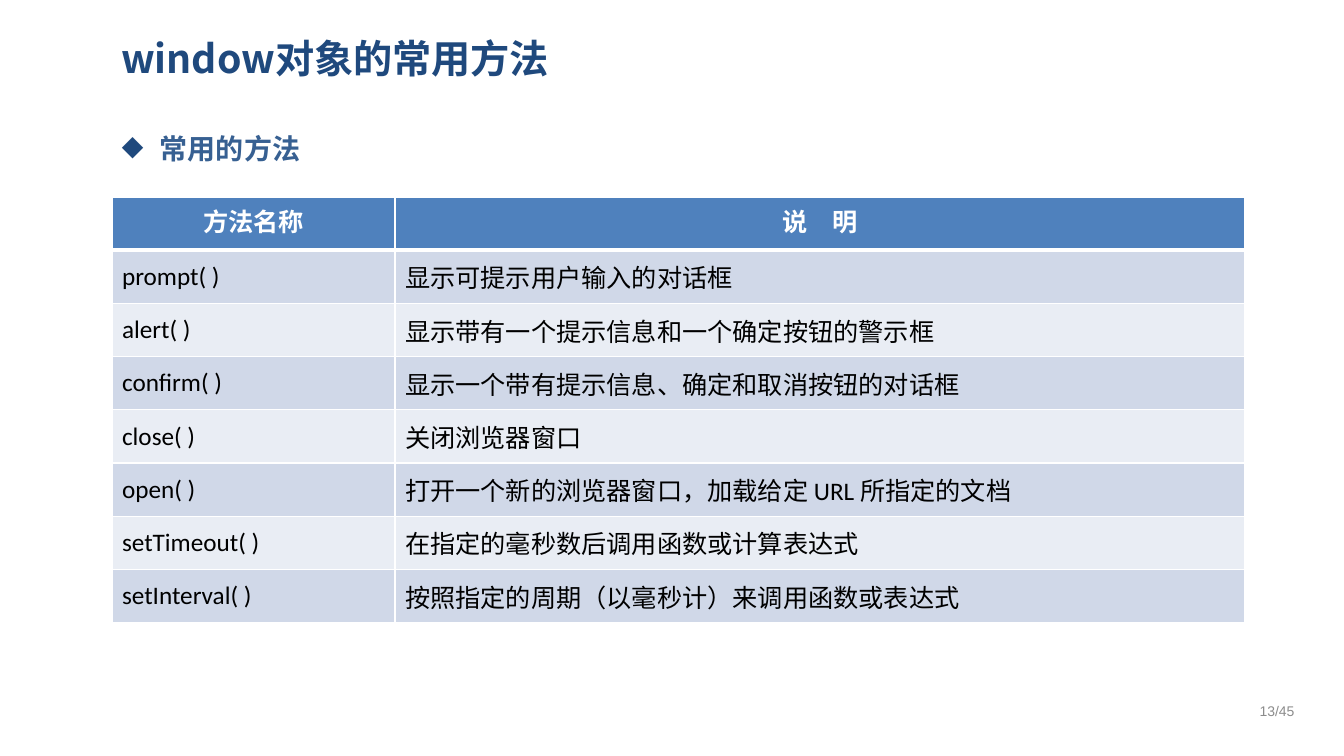
from lxml import etree
from pptx import Presentation
from pptx.dml.color import RGBColor
from pptx.enum.text import MSO_ANCHOR, MSO_AUTO_SIZE, PP_ALIGN
from pptx.oxml import parse_xml
from pptx.oxml.ns import qn
from pptx.util import Pt

PX = 914400 / 100.8
LEFT, CENTER = PP_ALIGN.LEFT, PP_ALIGN.CENTER
TOP, MIDDLE = MSO_ANCHOR.TOP, MSO_ANCHOR.MIDDLE
NO_FIT = MSO_AUTO_SIZE.NONE
NAVY = RGBColor(0x1F, 0x49, 0x7D)
STEEL = RGBColor(0x37, 0x60, 0x92)
GRAY = RGBColor(0x8C, 0x8C, 0x8C)
WHITE = RGBColor(0xFF, 0xFF, 0xFF)
BLACK = RGBColor(0, 0, 0)
HEADER = RGBColor(0x4F, 0x81, 0xBD)
BANDS = [RGBColor(0xE9, 0xED, 0xF4), RGBColor(0xD0, 0xD8, 0xE8)]
CJK = "Noto Sans CJK SC"
A = "http://schemas.openxmlformats.org/drawingml/2006/main"


def px(*values):
    return [round(v * PX) for v in values]


def write(tf, text, align, **font):
    p = tf.paragraphs[0]
    p.alignment = align
    r = p.add_run()
    r.text = text
    color = font.pop("color")
    for name, value in font.items():
        setattr(r.font, name, value)
    r.font.color.rgb = color
    ea = etree.SubElement(r.font._element, qn("a:ea"))
    ea.set("typeface", CJK)
    return p


prs = Presentation()
prs.slide_width, prs.slide_height = px(1344, 756)
s = prs.slides.add_slide(prs.slide_layouts[5])

title = s.shapes.title
title.left, title.top, title.width, title.height = px(111, 24, 1174, 68)
tf = title.text_frame
tf.auto_size = NO_FIT
tf.vertical_anchor = MIDDLE
write(tf, "window对象的常用方法", LEFT, name=CJK, size=Pt(28), bold=True, color=NAVY)

tf = s.shapes.add_textbox(*px(112, 120, 1174, 60)).text_frame
tf.word_wrap = True
p = write(tf, "常用的方法", LEFT, name=CJK, size=Pt(20), bold=True, color=STEEL)
p.line_spacing = 1.2
p.space_before = Pt(4)
pPr = p._p.get_or_add_pPr()
indent, = px(38)
pPr.set("marL", str(indent))
pPr.set("indent", str(-indent))
color = etree.SubElement(pPr, qn("a:buClr"))
etree.SubElement(color, qn("a:srgbClr")).set("val", str(NAVY))
etree.SubElement(pPr, qn("a:buChar")).set("char", "◆")

rows = [
    ("方法名称", "说　明"),
    ("prompt( )", "显示可提示用户输入的对话框"),
    ("alert( )", "显示带有一个提示信息和一个确定按钮的警示框"),
    ("confirm( )", "显示一个带有提示信息、确定和取消按钮的对话框"),
    ("close( )", "关闭浏览器窗口"),
    ("open( )", "打开一个新的浏览器窗口，加载给定 URL 所指定的文档"),
    ("setTimeout( )", "在指定的毫秒数后调用函数或计算表达式"),
    ("setInterval( )", "按照指定的周期（以毫秒计）来调用函数或表达式"),
]
table = s.shapes.add_table(len(rows), 2, *px(112, 197, 1133, 426)).table
for column, width in zip(table.columns, px(283, 850)):
    column.width = width

for i, row in enumerate(rows):
    head = i == 0
    for j, text in enumerate(row):
        cell = table.cell(i, j)
        cell.vertical_anchor = TOP if head else MIDDLE
        cell.fill.solid()
        cell.fill.fore_color.rgb = HEADER if head else BANDS[i % 2]
        p = write(cell.text_frame, text, CENTER if head else LEFT, name="Calibri",
                  size=Pt(18), bold=head, color=WHITE if head else BLACK)
        p.space_before = Pt(3.6)
        for k, side in enumerate("LRTB"):
            thick = (i, side) in [(0, "B"), (1, "T")]
            cell._tc.get_or_add_tcPr().insert(k, parse_xml(
                f'<a:ln{side} xmlns:a="{A}" w="{Pt(3 if thick else 1)}"><a:solidFill>'
                f'<a:srgbClr val="{WHITE}"/></a:solidFill></a:ln{side}>'))

tf = s.shapes.add_textbox(*px(1244, 691, 66, 40)).text_frame
tf.word_wrap = True
tf.vertical_anchor = MIDDLE
write(tf, "13/45", CENTER, name="Arial", size=Pt(10), color=GRAY)

prs.save("out.pptx")
